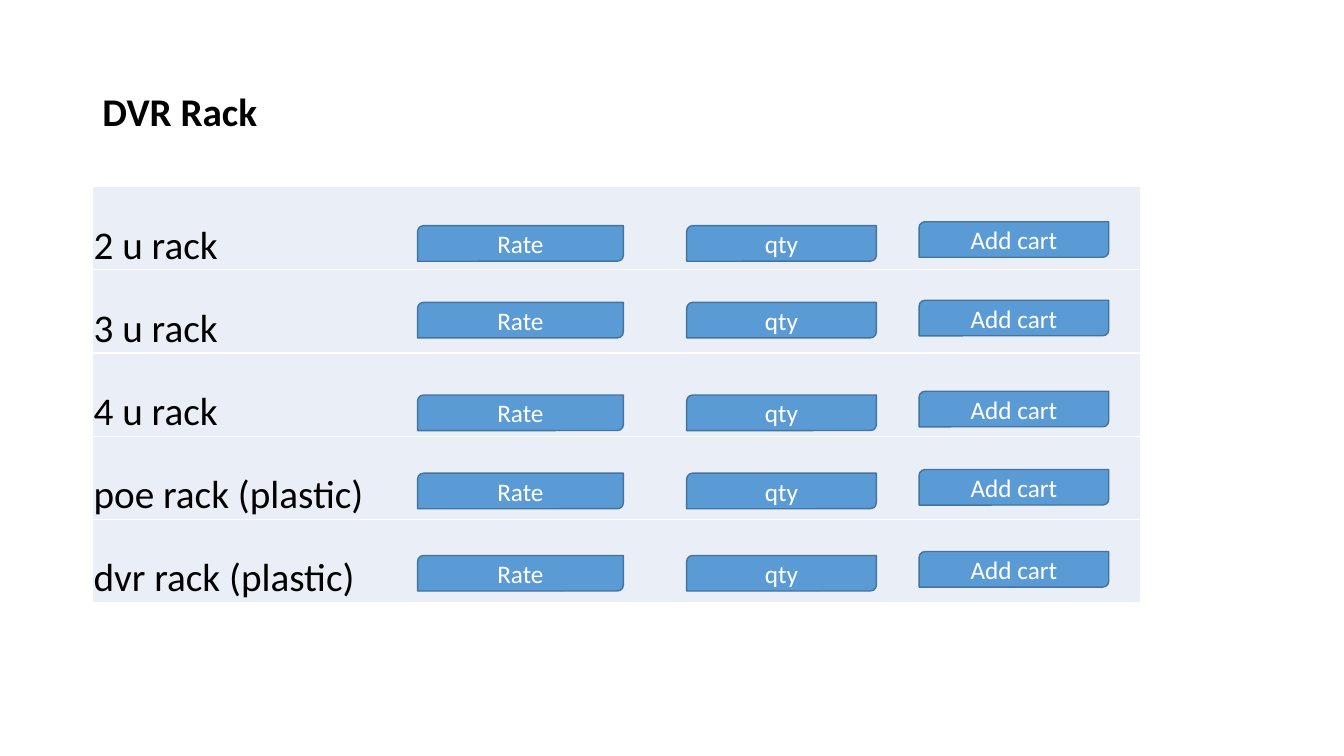
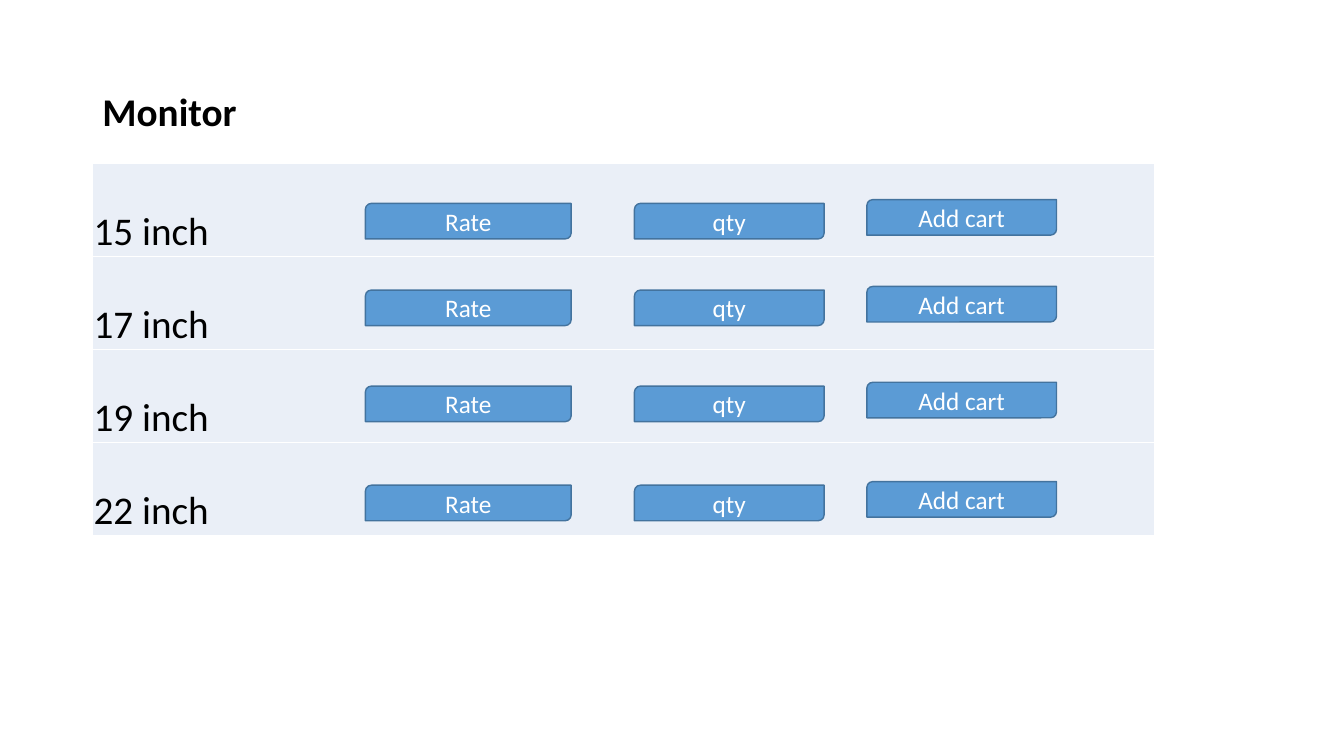
from lxml import etree
from pptx import Presentation
from pptx.dml.color import RGBColor
from pptx.enum.shapes import MSO_SHAPE
from pptx.enum.text import MSO_ANCHOR, MSO_AUTO_SIZE, PP_ALIGN
from pptx.oxml.ns import qn
from pptx.util import Pt

BUTTON_SHAPE = MSO_SHAPE.ROUND_2_DIAG_RECTANGLE
MIDDLE, BOTTOM = MSO_ANCHOR.MIDDLE, MSO_ANCHOR.BOTTOM
LEFT, CENTER = PP_ALIGN.LEFT, PP_ALIGN.CENTER
NO_FIT = MSO_AUTO_SIZE.NONE

BLACK = RGBColor(0x00, 0x00, 0x00)
WHITE = RGBColor(0xFF, 0xFF, 0xFF)
ROW_FILL = RGBColor(0xEA, 0xEF, 0xF7)
BUTTON_FILL = RGBColor(0x5B, 0x9B, 0xD5)
BUTTON_LINE = RGBColor(0x43, 0x73, 0x9E)
FONT = "Calibri"

TABLE_LEFT = 66.2
BUTTON_HEIGHT = 25.4
BUTTONS = [("Rate", 0, 147), ("qty", 192.2, 135.5), ("Add cart", 358.2, 135.5)]

PAGES = [
    {
        "title": "DVR Rack",
        "top": 133.2, "width": 748.6, "row_height": 59.45, "buttons_left": 298.3,
        "rows": [
            ("2 u rack", 161.2, 158.4),
            ("3 u rack", 216, 214.5),
            ("4 u rack", 282.2, 279.5),
            ("poe rack (plastic)", 338, 335.4),
            ("dvr rack (plastic)", 396.8, 394),
        ],
    },
    {
        "title": "Monitor",
        "top": 116.8, "width": 758.6, "row_height": 66.4, "buttons_left": 261,
        "rows": [
            ("15 inch", 145.3, 142.6),
            ("17 inch", 207.2, 204.6),
            ("19 inch", 275.8, 273.1),
            ("22 inch", 346.6, 344),
        ],
    },
]


def add_run(p, text, size, color, bold=False):
    r = p.add_run()
    r.text = text
    r.font.name = FONT
    r.font.size = Pt(size)
    r.font.bold = bold
    r.font.color.rgb = color


def place_title(s, text):
    sp = s.shapes.title
    sp.left, sp.top, sp.width, sp.height = Pt(66), Pt(28.8), Pt(828), Pt(104.4)
    tf = sp.text_frame
    tf.auto_size = NO_FIT
    tf.vertical_anchor = MIDDLE
    p = tf.paragraphs[0]
    p.alignment = LEFT
    p.line_spacing = 0.9
    add_run(p, text, 28, BLACK, True)


def set_borders(cell):
    tc_pr = cell._tc.get_or_add_tcPr()
    for i, side in enumerate(("lnL", "lnR", "lnT", "lnB")):
        ln = etree.Element(qn("a:" + side), w=str(Pt(1)))
        fill = etree.SubElement(ln, qn("a:solidFill"))
        etree.SubElement(fill, qn("a:srgbClr"), val=str(WHITE))
        tc_pr.insert(i, ln)


def add_products(s, page):
    rows = page["rows"]
    height = page["row_height"]
    table = s.shapes.add_table(len(rows), 1, Pt(TABLE_LEFT), Pt(page["top"]),
                               Pt(page["width"]), Pt(height * len(rows))).table
    table.first_row = False
    table.horz_banding = False
    for i, (label, _, _) in enumerate(rows):
        table.rows[i].height = Pt(height)
        cell = table.cell(i, 0)
        cell.fill.solid()
        cell.fill.fore_color.rgb = ROW_FILL
        set_borders(cell)
        cell.vertical_anchor = BOTTOM
        cell.margin_left = cell.margin_right = cell.margin_top = Pt(0.7)
        cell.margin_bottom = Pt(0)
        add_run(cell.text_frame.paragraphs[0], label, 28, BLACK)


def add_button(s, text, left, top, width):
    sp = s.shapes.add_shape(BUTTON_SHAPE, Pt(left), Pt(top), Pt(width), Pt(BUTTON_HEIGHT))
    sp.shadow.inherit = False
    sp.fill.solid()
    sp.fill.fore_color.rgb = BUTTON_FILL
    sp.line.color.rgb = BUTTON_LINE
    sp.line.width = Pt(1)
    tf = sp.text_frame
    tf.vertical_anchor = MIDDLE
    p = tf.paragraphs[0]
    p.alignment = CENTER
    add_run(p, text, 18, WHITE)


def build_page(prs, page):
    s = prs.slides.add_slide(prs.slide_layouts[5])
    place_title(s, page["title"])
    add_products(s, page)
    for _, top, cart_top in page["rows"]:
        for (text, offset, width), y in zip(BUTTONS, (top, top, cart_top)):
            add_button(s, text, page["buttons_left"] + offset, y, width)


def main():
    prs = Presentation()
    prs.slide_width, prs.slide_height = Pt(960), Pt(540)
    for page in PAGES:
        build_page(prs, page)
    prs.save("out.pptx")


if __name__ == "__main__":
    main()
